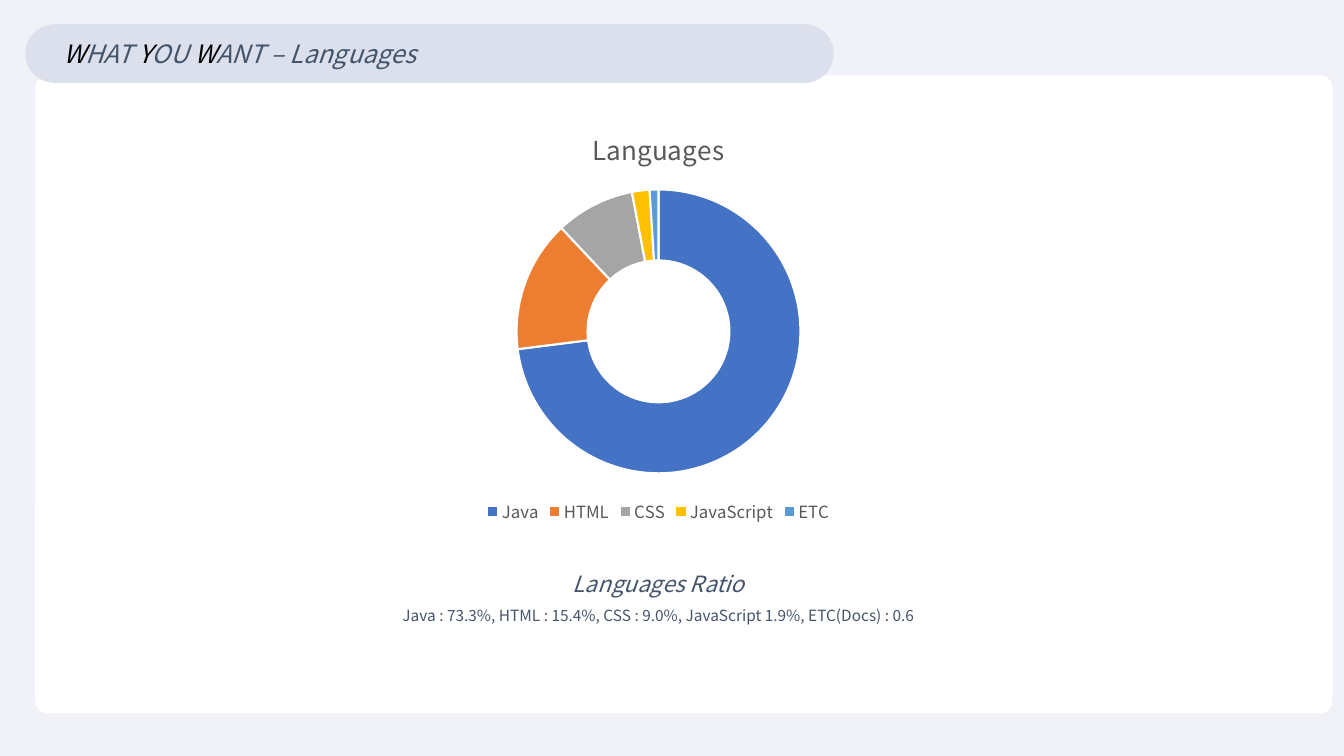
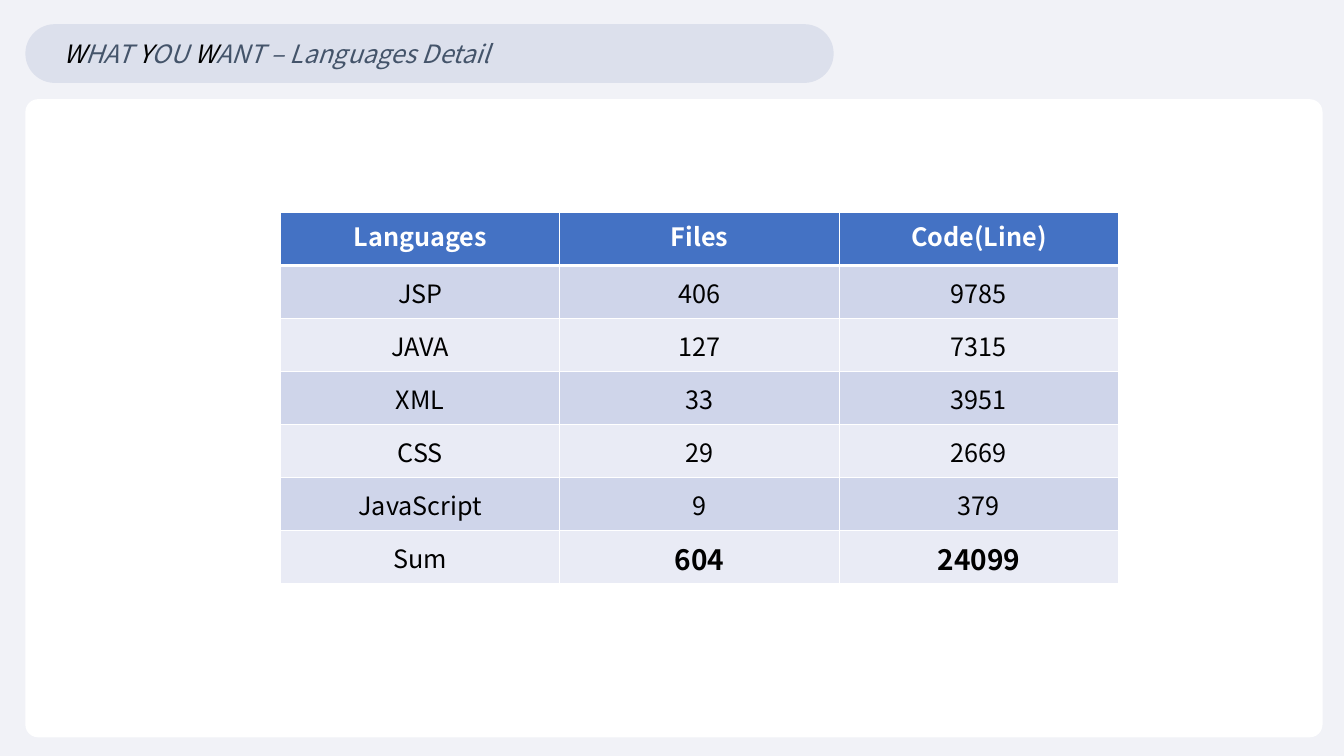
from dataclasses import dataclass

from lxml import etree
from pptx import Presentation
from pptx.chart import data
from pptx.dml.color import RGBColor
from pptx.enum import chart as charts, shapes, text
from pptx.oxml import ns
from pptx.util import Cm, Pt

FONT = "Noto Sans CJK KR"
BACK, BAND, WHITE, BLACK = "F1F2F7", "DCE0EC", "FFFFFF", "000000"
SLATE, GRAY, BLUE = "44546A", "595959", "4472C4"
STRIPES = ("CFD5EA", "E9EBF5")
CENTER = text.PP_ALIGN.CENTER


@dataclass
class Box:
    left: float
    top: float
    width: float
    height: float

    def cm(self) -> tuple:
        return Cm(self.left), Cm(self.top), Cm(self.width), Cm(self.height)


@dataclass
class Slice:
    name: str
    value: int
    color: str


SLICES = [
    Slice("Java", 73, BLUE),
    Slice("HTML", 15, "ED7D31"),
    Slice("CSS", 9, "A5A5A5"),
    Slice("JavaScript", 2, "FFC000"),
    Slice("ETC", 1, "5B9BD5"),
]
ROWS = [
    ("Languages", "Files", "Code(Line)"),
    ("JSP", "406", "9785"),
    ("JAVA", "127", "7315"),
    ("XML", "33", "3951"),
    ("CSS", "29", "2669"),
    ("JavaScript", "9", "379"),
    ("Sum", "604", "24099"),
]


# Shared helpers
def rgb(code: str) -> RGBColor:
    return RGBColor.from_string(code)


def paint(fill, code: str) -> None:
    fill.solid()
    fill.fore_color.rgb = rgb(code)


def style(font, size: float, code: str, bold: bool = False, slant: bool = False) -> None:
    font.name = FONT
    font.size = Pt(size)
    font.bold = bold
    font.italic = slant
    font.color.rgb = rgb(code)


def round_box(slide, box: Box, code: str, bend: float):
    shape = slide.shapes.add_shape(shapes.MSO_SHAPE.ROUNDED_RECTANGLE, *box.cm())
    shape.adjustments[0] = bend
    shape.shadow.inherit = False
    paint(shape.fill, code)
    shape.line.fill.background()
    return shape


def add_page(deck, topic: str, left: float, top: float):
    """Add a slide with its white panel and title band."""
    slide = deck.slides.add_slide(deck.slide_layouts[6])
    round_box(slide, Box(left, top, 32.69, 16.08), WHITE, 0.02)
    frame = round_box(slide, Box(0.64, 0.61, 20.37, 1.48), BAND, 0.5).text_frame
    frame.margin_left = Cm(0.74)
    frame.vertical_anchor = text.MSO_ANCHOR.MIDDLE
    para = frame.paragraphs[0]
    para.alignment = text.PP_ALIGN.LEFT
    # Initials are black, the rest is slate
    for word in ("WHAT ", "YOU ", "WANT – " + topic):
        for part, code in ((word[0], BLACK), (word[1:], SLATE)):
            run = para.add_run()
            run.text = part
            style(run.font, 18, code, slant=True)
    return slide


# Language share
def add_ring(slide, box: Box) -> None:
    info = data.CategoryChartData()
    info.categories = [s.name for s in SLICES]
    info.add_series("Languages", [s.value for s in SLICES])
    kind = charts.XL_CHART_TYPE.DOUGHNUT
    chart = slide.shapes.add_chart(kind, *box.cm(), info).chart
    style(chart.font, 10, BLACK)

    chart.has_title = True
    title = chart.chart_title
    title.include_in_layout = False
    title.text_frame.text = "Languages"
    style(title.text_frame.paragraphs[0].font, 18.6, GRAY)

    chart.has_legend = True
    chart.legend.position = charts.XL_LEGEND_POSITION.BOTTOM
    chart.legend.include_in_layout = False
    style(chart.legend.font, 12, GRAY)

    plot = chart.plots[0]
    plot.vary_by_categories = True
    for hole in plot._element.findall(ns.qn("c:holeSize")):
        hole.set("val", "63")
    for i, part in enumerate(SLICES):
        look = plot.series[0].points[i].format
        paint(look.fill, part.color)
        paint(look.line.fill, WHITE)
        look.line.width = Pt(1.5)


def add_note(slide, box: Box) -> None:
    frame = slide.shapes.add_textbox(*box.cm()).text_frame
    frame.word_wrap = True
    frame.auto_size = text.MSO_AUTO_SIZE.SHAPE_TO_FIT_TEXT
    ratio = "Java : 73.3%, HTML : 15.4%, CSS : 9.0%, JavaScript 1.9%, ETC(Docs) : 0.6"
    frame.text = "Languages Ratio\n" + ratio
    for para, size, slant in zip(frame.paragraphs, (16, 11), (True, False)):
        para.alignment = CENTER
        para.line_spacing = 1.5
        style(para.font, size, SLATE, slant=slant)


# Language table
def edge(cell, side: str, width: float) -> None:
    props = cell._tc.get_or_add_tcPr()
    line = etree.SubElement(props, ns.qn("a:ln" + side), w=str(Pt(width)))
    fill = etree.SubElement(line, ns.qn("a:solidFill"))
    etree.SubElement(fill, ns.qn("a:srgbClr"), val=WHITE)


def fill_cell(cell, label: str, row: int, col: int) -> None:
    head = row == 0
    total = row == len(ROWS) - 1 and col > 0
    for side in "LRTB":
        thick = (row, side) in ((0, "B"), (1, "T"))
        edge(cell, side, 3 if thick else 1)
    paint(cell.fill, BLUE if head else STRIPES[(row - 1) % 2])
    if not head:
        cell.vertical_anchor = text.MSO_ANCHOR.MIDDLE
        cell.margin_left = cell.margin_right = cell.margin_top = Cm(0.03)
        cell.margin_bottom = 0
    cell.text = label
    para = cell.text_frame.paragraphs[0]
    para.alignment = CENTER
    style(para.font, 20 if total else 18, WHITE if head else BLACK, head or total)


def add_grid(slide, box: Box) -> None:
    count = len(ROWS), len(ROWS[0])
    table = slide.shapes.add_table(*count, *box.cm()).table
    for col in table.columns:
        col.width = Cm(box.width / count[1])
    for i, row in enumerate(ROWS):
        table.rows[i].height = Cm(box.height / count[0])
        for j, label in enumerate(row):
            fill_cell(table.cell(i, j), label, i, j)


def main() -> None:
    deck = Presentation()
    deck.slide_width, deck.slide_height = Cm(33.87), Cm(19.05)
    paint(deck.slide_master.background.fill, BACK)

    share = add_page(deck, "Languages", 0.89, 1.9)
    add_note(share, Box(8.13, 13.91, 16.94, 1.98))
    add_ring(share, Box(7.97, 2.73, 17.25, 10.57))

    detail = add_page(deck, "Languages Detail", 0.64, 2.5)
    add_grid(detail, Box(7.07, 5.35, 21.12, 9.36))

    deck.save("out.pptx")


if __name__ == "__main__":
    main()
